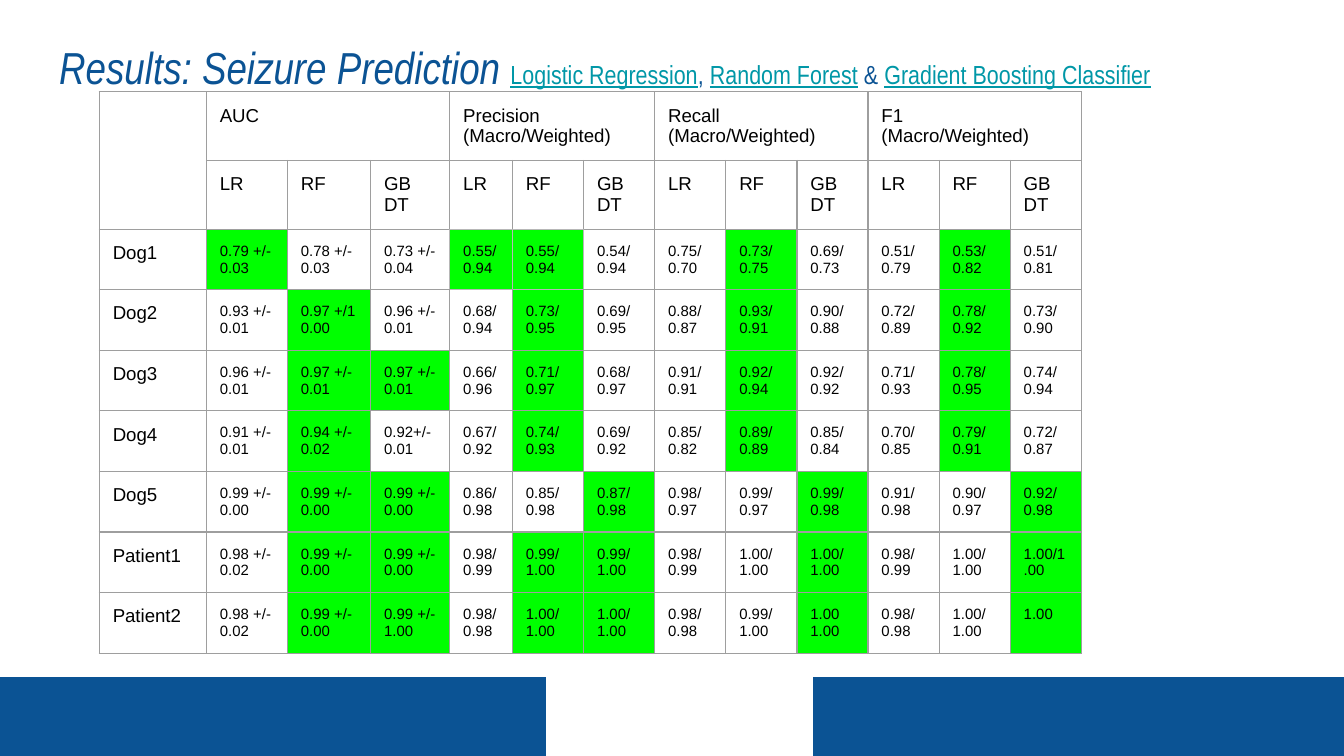
from dataclasses import dataclass

from lxml.etree import SubElement
from pptx import Presentation
from pptx.dml.color import RGBColor as Color
from pptx.enum.shapes import MSO_SHAPE as Shape
from pptx.enum.text import MSO_ANCHOR as Anchor, MSO_AUTO_SIZE as AutoSize
from pptx.oxml.ns import qn
from pptx.util import Pt


@dataclass(frozen=True)
class Theme:
    blue: str = "0B5394"
    teal: str = "0097A7"
    black: str = "000000"
    best: str = "00FF00"
    grid: str = "9E9E9E"
    pale_grid: str = "B7B7B7"
    title_font: str = "Arial Narrow"
    table_font: str = "Arial"
    title_size: int = 24
    model_size: int = 14
    label_size: int = 10
    score_size: int = 8


theme = Theme()


def add_span(para, text, font, size, color):
    span = para.add_run()
    span.text = text
    span.font.name = font
    span.font.size = Pt(size)
    span.font.color.rgb = Color.from_string(color)
    return span


def add_border(cell, side, color):
    line = SubElement(cell._tc.get_or_add_tcPr(), qn(f"a:ln{side}"), w=str(Pt(0.75)))
    fill = SubElement(line, qn("a:solidFill"))
    SubElement(fill, qn("a:srgbClr"), val=color)


deck = Presentation()
deck.slide_width, deck.slide_height = Pt(720), Pt(405)
page = deck.slides.add_slide(deck.slide_layouts[2])
page.shapes.title.element.getparent().remove(page.shapes.title.element)

heading = page.placeholders[1]
heading.left, heading.top, heading.width, heading.height = Pt(24.5), Pt(10), Pt(671), Pt(343.5)
frame = heading.text_frame
frame.word_wrap = True
frame.auto_size = AutoSize.NONE
frame.vertical_anchor = Anchor.TOP
frame.margin_left = frame.margin_right = frame.margin_top = frame.margin_bottom = Pt(7.2)
para = frame.paragraphs[0]
para.line_spacing = 1.15
para.space_before, para.space_after = Pt(0), Pt(12)
span = add_span(para, "Results: Seizure Prediction ", theme.title_font, theme.title_size, theme.blue)
span.font.italic = True
for text, is_model in [
    ("Logistic Regression", True),
    (", ", False),
    ("Random Forest", True),
    (" & ", False),
    ("Gradient Boosting Classifier", True),
]:
    color = theme.teal if is_model else theme.blue
    span = add_span(para, text, theme.title_font, theme.model_size, color)
    span.font.underline = is_model
    span.font.italic = False

for left, width in [(-2, 294.5), (435.6, 284.4)]:
    band = page.shapes.add_shape(Shape.RECTANGLE, Pt(left), Pt(362.7), Pt(width), Pt(42.5))
    band.shadow.inherit = False
    band.fill.solid()
    band.fill.fore_color.rgb = Color.from_string(theme.blue)
    band.line.fill.background()

metrics = ["AUC", "Precision (Macro/Weighted)", "Recall (Macro/Weighted)", "F1|(Macro/Weighted)"]
models = ["LR", "RF", "GB|DT"]
best_mark = "*"
results = [
    "Dog1;*0.79 +/-|0.03;0.78 +/-|0.03;0.73 +/-|0.04;*0.55/|0.94;*0.55/|0.94;0.54/|0.94;0.75/|0.70;*0.73/|0.75;0.69/|0.73;0.51/|0.79;*0.53/|0.82;0.51/|0.81",
    "Dog2;0.93 +/-|0.01;*0.97 +/1|0.00;0.96 +/-|0.01;0.68/|0.94;*0.73/|0.95;0.69/|0.95;0.88/|0.87;*0.93/|0.91;0.90/|0.88;0.72/|0.89;*0.78/|0.92;0.73/|0.90",
    "Dog3;0.96 +/-|0.01;*0.97 +/-|0.01;*0.97 +/-|0.01;0.66/|0.96;*0.71/|0.97;0.68/|0.97;0.91/|0.91;*0.92/|0.94;0.92/|0.92;0.71/|0.93;*0.78/|0.95;0.74/|0.94",
    "Dog4;0.91 +/-|0.01;*0.94 +/-|0.02;0.92+/-|0.01;0.67/|0.92;*0.74/|0.93;0.69/|0.92;0.85/|0.82;*0.89/|0.89;0.85/|0.84;0.70/|0.85;*0.79/|0.91;0.72/|0.87",
    "Dog5;0.99 +/-|0.00;*0.99 +/-|0.00;*0.99 +/-|0.00;0.86/|0.98;0.85/|0.98;*0.87/|0.98;0.98/|0.97;0.99/|0.97;*0.99/|0.98;0.91/|0.98;0.90/|0.97;*0.92/|0.98",
    "Patient1;0.98 +/-|0.02;*0.99 +/-|0.00;*0.99 +/-|0.00;0.98/|0.99;*0.99/|1.00;*0.99/|1.00;0.98/|0.99;1.00/|1.00;*1.00/|1.00;0.98/|0.99;1.00/|1.00;*1.00/1.00",
    "Patient2;0.98 +/-|0.02;*0.99 +/-|0.00;*0.99 +/-|1.00;0.98/|0.98;*1.00/|1.00;*1.00/|1.00;0.98/|0.98;0.99/|1.00;*1.00|1.00;0.98/|0.98;1.00/|1.00;*1.00",
]
header = [""] + [text for metric in metrics for text in (metric, "", "")]
rows = [header, [""] + models * len(metrics)]
rows += [line.split(";") for line in results]

widths = [57.4, 43.4, 44.6, 42.4, 33.6] + [38.1] * 8
row_height = 30.2
holder = page.shapes.add_table(
    len(rows), len(widths), Pt(53.2), Pt(49.2), Pt(sum(widths)), Pt(row_height * len(rows))
)
table = holder.table
table.first_row = table.horz_banding = False
for column, width in zip(table.columns, widths):
    column.width = Pt(width)
for row in table.rows:
    row.height = Pt(row_height)

neighbours = {"L": (0, -1), "R": (0, 1), "T": (-1, 0), "B": (1, 0)}
pale_cells = {(2, 4), (2, 5)}
for r, texts in enumerate(rows):
    for c, text in enumerate(texts):
        cell = table.cell(r, c)
        cell.margin_left = cell.margin_right = cell.margin_top = cell.margin_bottom = Pt(7.2)
        for side, (down, across) in neighbours.items():
            is_pale = pale_cells & {(r, c), (r + down, c + across)}
            add_border(cell, side, theme.pale_grid if is_pale else theme.grid)
        if text.startswith(best_mark):
            cell.fill.solid()
            cell.fill.fore_color.rgb = Color.from_string(theme.best)
        else:
            cell.fill.background()
        size = theme.score_size if r > 1 and c > 0 else theme.label_size
        lines = text.lstrip(best_mark).split("|") if text else []
        for index, line in enumerate(lines):
            para = cell.text_frame.add_paragraph() if index else cell.text_frame.paragraphs[0]
            add_span(para, line, theme.table_font, size, theme.black)

table.cell(0, 0).merge(table.cell(1, 0))
for first in range(1, len(widths), len(models)):
    table.cell(0, first).merge(table.cell(0, first + len(models) - 1))

deck.save("out.pptx")
